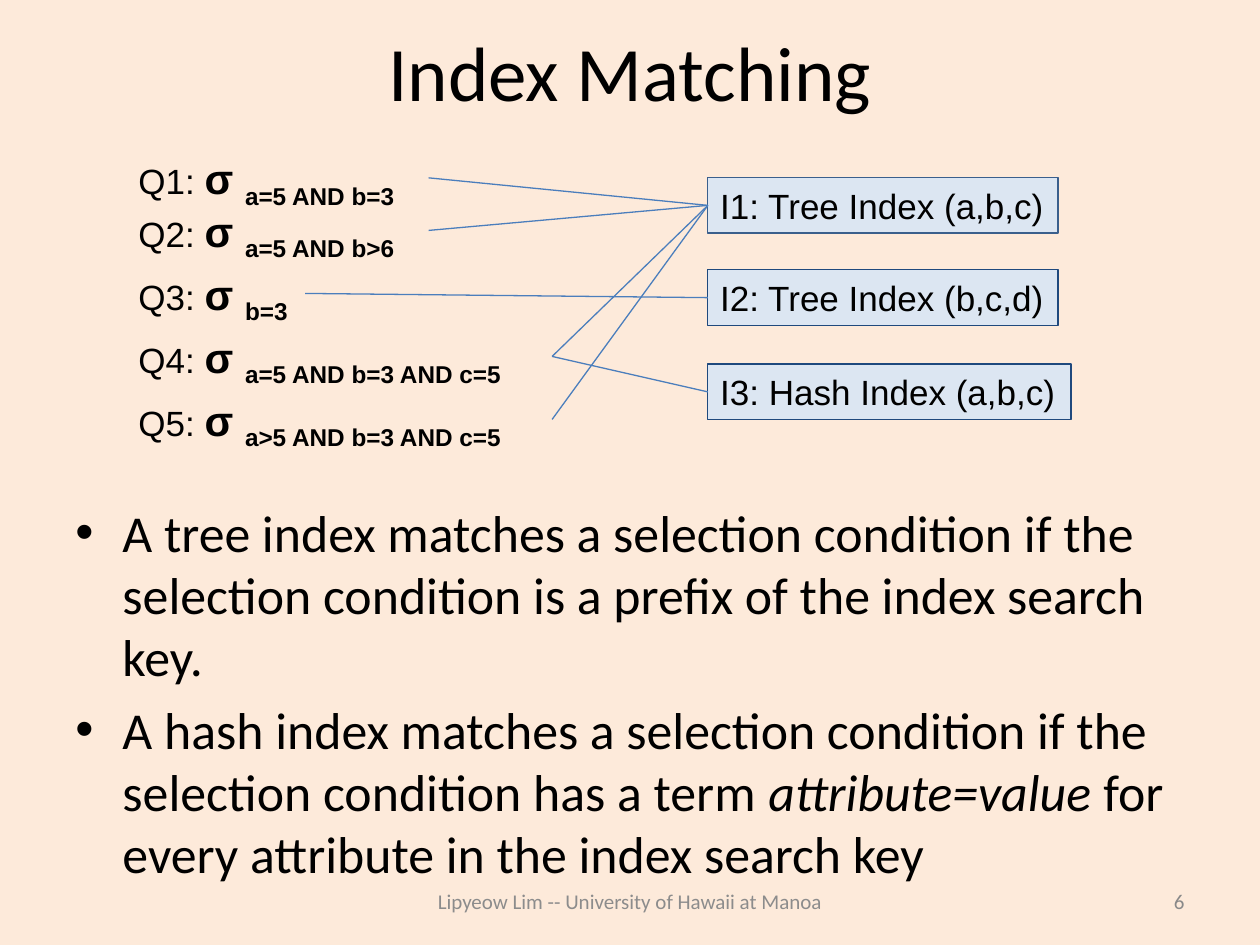
"""Builds the Index Matching slide."""
import pptx
import pptx.dml.color
import pptx.enum.shapes
import pptx.enum.text
import pptx.oxml
import pptx.oxml.ns
import pptx.util
from pptx.util import Cm

RGBColor = pptx.dml.color.RGBColor
Align = pptx.enum.text.PP_ALIGN
Anchor = pptx.enum.text.MSO_ANCHOR

BACKGROUND = RGBColor(0xFD, 0xEA, 0xDA)
BLACK = RGBColor(0x00, 0x00, 0x00)
FOOTER_GRAY = RGBColor(0x8C, 0x8C, 0x8C)
NUMBER_GRAY = RGBColor(0x89, 0x89, 0x89)
INDEX_FILL = RGBColor(0xDC, 0xE6, 0xF2)
FIRST_BORDER = RGBColor(0x3A, 0x5F, 0x8C)
INDEX_BORDER = RGBColor(0x1F, 0x49, 0x7D)
MATCH_LINE = RGBColor(0x4B, 0x7E, 0xBC)

QUERIES = [
    ("Q1", "a=5 AND b=3", 2.95, 6.1),
    ("Q2", "a=5 AND b>6", 4.01, 6.1),
    ("Q3", "b=3", 5.28, 3.61),
    ("Q4", "a=5 AND b=3 AND c=5", 6.55, 8.59),
    ("Q5", "a>5 AND b=3 AND c=5", 7.82, 8.59),
]
INDEXES = [
    ("I1", "Tree Index (a,b,c)", 3.58, 7.06, FIRST_BORDER),
    ("I2", "Tree Index (b,c,d)", 5.44, 7.06, INDEX_BORDER),
    ("I3", "Hash Index (a,b,c)", 7.34, 7.32, INDEX_BORDER),
]
MATCHES = [("Q1", "I1"), ("Q2", "I1"), ("Q3", "I2"),
           ("Q4", "I1"), ("Q4", "I3"), ("Q5", "I1")]
RULES = [
    [("A tree index matches a selection condition if the selection condition "
      "is a prefix of the index search key.", False)],
    [("A hash index matches a selection condition if the selection condition "
      "has a term", False),
     (" attribute=value ", True),
     ("for every attribute in the index search key", False)],
]


class SlideBuilder:
    """Holds the style and the current slide."""

    heading_font = "Calibri"
    diagram_font = "Arial"

    def __init__(self, slide):
        self.slide = slide
        slide.background.fill.solid()
        slide.background.fill.fore_color.rgb = BACKGROUND

    def style(self, font, name, size, color=BLACK, bold=False, italic=False):
        font.name = name
        font.size = pptx.util.Pt(size)
        font.color.rgb = color
        font.bold = bold
        font.italic = italic

    def fit(self, shape):
        shape.text_frame.word_wrap = False
        shape.text_frame.auto_size = pptx.enum.text.MSO_AUTO_SIZE.SHAPE_TO_FIT_TEXT

    def title(self, text):
        shape = self.slide.shapes.title
        shape.left, shape.top = Cm(1.27), Cm(0.76)
        shape.width, shape.height = Cm(22.86), Cm(1.35)
        frame = shape.text_frame
        frame.text = text
        frame.vertical_anchor = Anchor.MIDDLE
        frame.paragraphs[0].alignment = Align.CENTER
        self.style(frame.paragraphs[0].runs[0].font, self.heading_font, 44)

    def bullets(self, items):
        shape = self.slide.shapes.add_textbox(Cm(1.27), Cm(9.96), Cm(22.86), Cm(7.06))
        frame = shape.text_frame
        frame.word_wrap = True
        for position, item in enumerate(items):
            paragraph = frame.add_paragraph() if position else frame.paragraphs[0]
            if position:
                paragraph.space_before = pptx.util.Pt(6)
            properties = paragraph._p.get_or_add_pPr()
            properties.set("marL", str(Cm(0.95)))
            properties.set("indent", str(-Cm(0.95)))
            for tag, key, value in (("a:buFont", "typeface", "Arial"),
                                    ("a:buChar", "char", "•")):
                element = pptx.oxml.ns.qn(tag)
                properties.append(properties.makeelement(element, {key: value}))
            for text, italic in item:
                run = paragraph.add_run()
                run.text = text
                self.style(run.font, self.heading_font, 29.6, italic=italic)

    def footer(self, text, left, width, alignment, color):
        shape = self.slide.shapes.add_textbox(Cm(left), Cm(17.65), Cm(width), Cm(1.02))
        frame = shape.text_frame
        frame.word_wrap = True
        frame.vertical_anchor = Anchor.MIDDLE
        frame.text = text
        frame.paragraphs[0].alignment = alignment
        self.style(frame.paragraphs[0].runs[0].font, self.heading_font, 12, color)

    def query(self, name, condition, top, width):
        shape = self.slide.shapes.add_textbox(Cm(2.54), Cm(top), Cm(width), Cm(1.27))
        self.fit(shape)
        paragraph = shape.text_frame.paragraphs[0]
        for text, size, bold in ((f"{name}: ", 20, False), ("σ ", 24, True),
                                 (condition, 24, True)):
            run = paragraph.add_run()
            run.text = text
            self.style(run.font, self.diagram_font, size, bold=bold)
        run.font._element.set("baseline", "-25000")
        return shape

    def index(self, name, description, top, width, border):
        shape = self.slide.shapes.add_shape(
            pptx.enum.shapes.MSO_SHAPE.RECTANGLE,
            Cm(14.27), Cm(top), Cm(width), Cm(1.12))
        shape.shadow.inherit = False
        shape.fill.solid()
        shape.fill.fore_color.rgb = INDEX_FILL
        shape.line.color.rgb = border
        shape.line.width = pptx.util.Pt(0.75)
        self.fit(shape)
        shape.text_frame.text = f"{name}: {description}"
        paragraph = shape.text_frame.paragraphs[0]
        paragraph.alignment = Align.LEFT
        self.style(paragraph.runs[0].font, self.diagram_font, 20)
        return shape

    def match(self, query, index):
        connector = self.slide.shapes.add_connector(
            pptx.enum.shapes.MSO_CONNECTOR.STRAIGHT, 0, 0, 0, 0)
        connector.begin_connect(query, 3)
        connector.end_connect(index, 1)
        connector.line.color.rgb = MATCH_LINE
        connector.line.width = pptx.util.Pt(0.75)
        properties = connector._element.spPr
        properties.append(properties.makeelement(pptx.oxml.ns.qn("a:effectLst"), {}))


def main():
    presentation = pptx.Presentation()
    presentation.slide_width, presentation.slide_height = Cm(25.4), Cm(19.05)
    slide = presentation.slides.add_slide(presentation.slide_layouts[5])
    builder = SlideBuilder(slide)
    builder.title("Index Matching")
    builder.bullets(RULES)
    builder.footer("Lipyeow Lim -- University of Hawaii at Manoa",
                   7.62, 10.16, Align.CENTER, FOOTER_GRAY)
    builder.footer("6", 18.21, 5.92, Align.RIGHT, NUMBER_GRAY)
    indexes = {row[0]: builder.index(*row) for row in INDEXES}
    queries = {row[0]: builder.query(*row) for row in QUERIES}
    for query, index in MATCHES:
        builder.match(queries[query], indexes[index])
    presentation.save("out.pptx")


if __name__ == "__main__":
    main()
